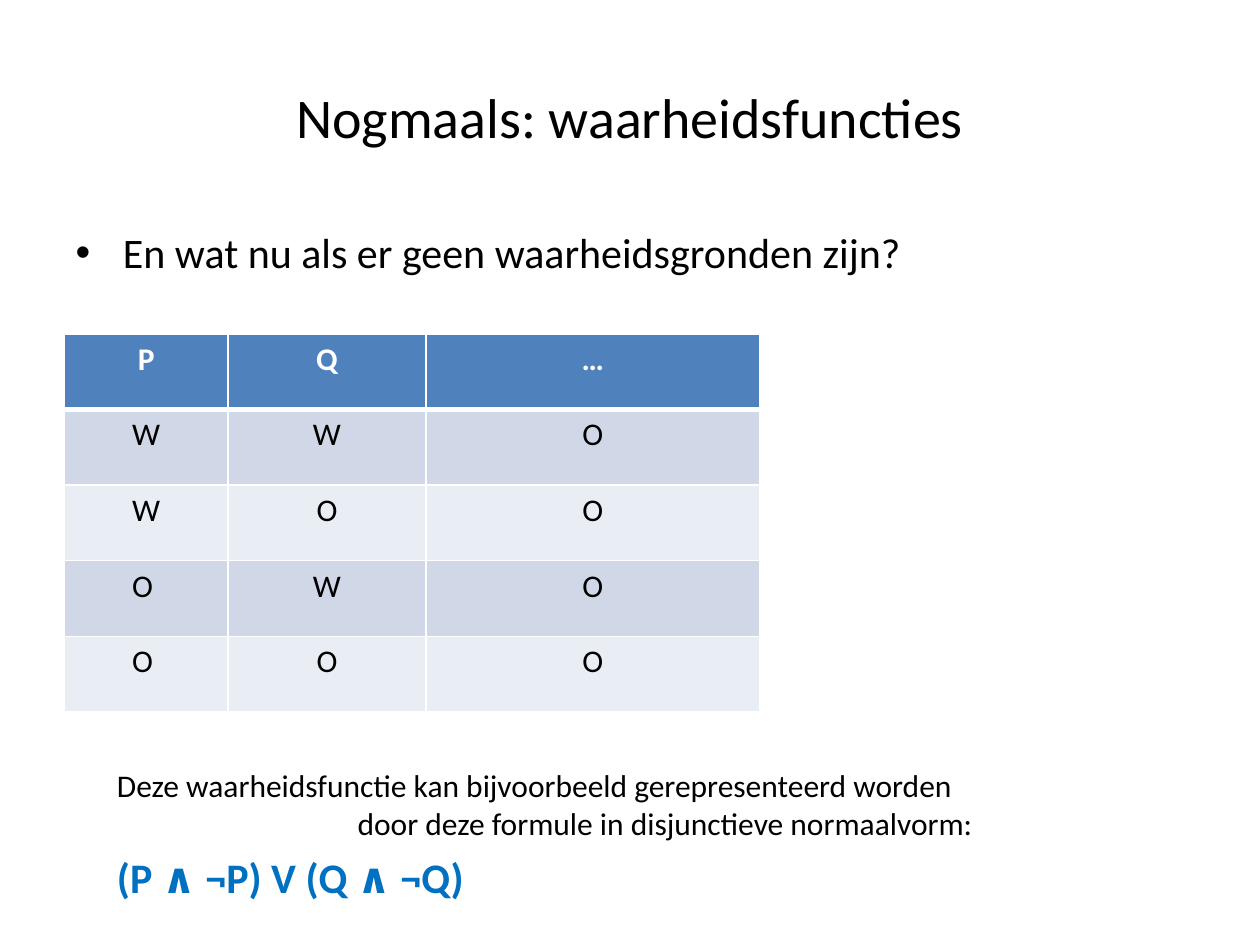
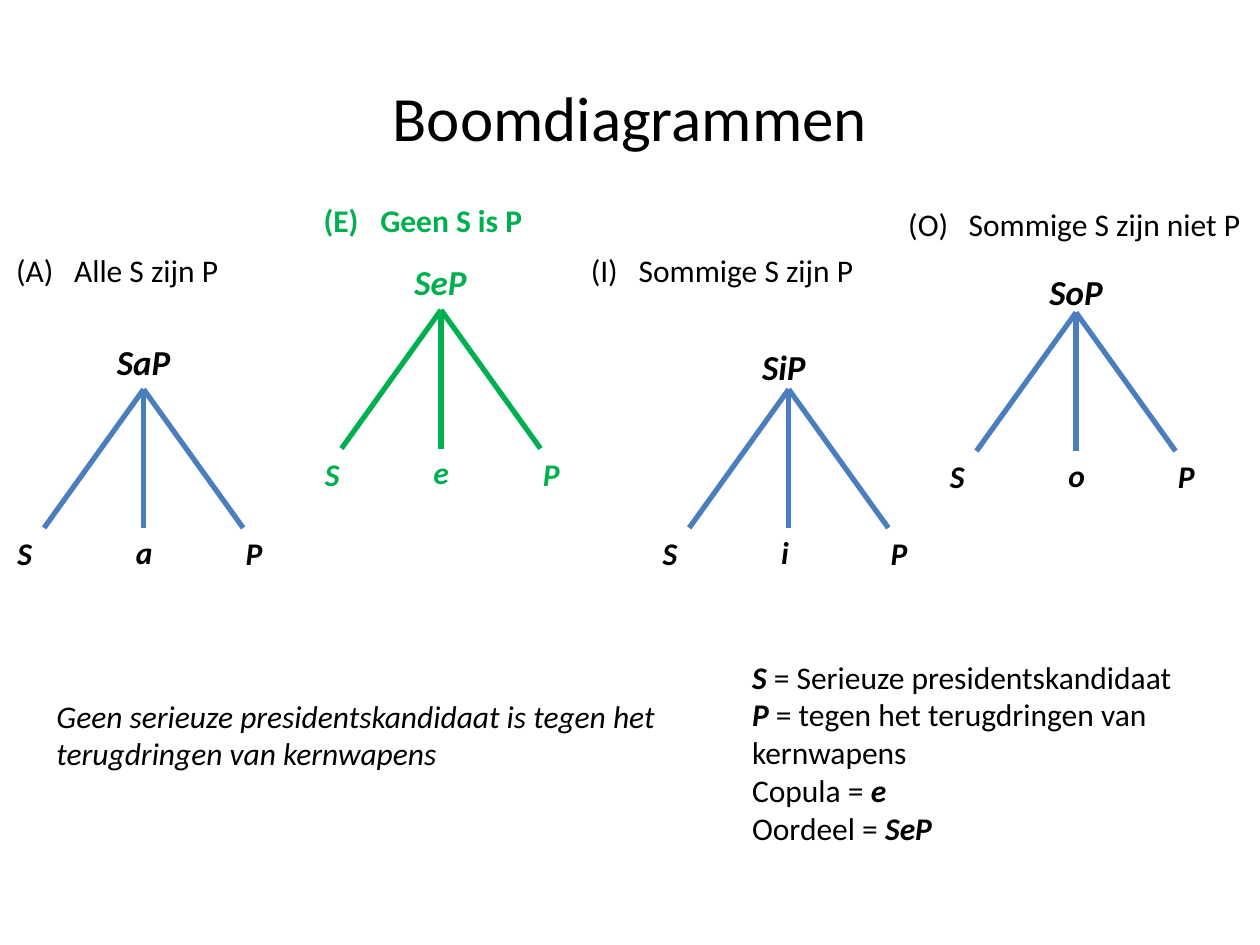
"""Build two logic slides: a truth table and four tree diagrams."""
import pptx
import pptx.dml.color
import pptx.enum.shapes
import pptx.enum.text
import pptx.oxml
import pptx.oxml.ns
import pptx.util

Inches = pptx.util.Inches
FONT = "Calibri"
COLORS = {
    "text": "000000",
    "white": "FFFFFF",
    "header": "4F81BD",
    "band_dark": "D0D8E8",
    "band_light": "E9EDF4",
    "formula": "0070C0",
    "branch": "4B7EBC",
    "accent": "00B050",
}
TRUTH_ROWS = [
    ["P", "Q", "…"],
    ["W", "W", "O"],
    ["W", "O", "O"],
    ["O ", "W", "O"],
    ["O ", "O", "O"],
]
TRUTH_COLUMNS = [1.3, 1.57, 2.65]
TRUTH_ROW_HEIGHT = 0.6
BRANCH_HEIGHT = 1.1
BRANCH_SPREAD = 0.79


def rgb(color):
    return pptx.dml.color.RGBColor.from_string(COLORS[color])


def format_runs(paragraph, size, color="text", bold=False, italic=False):
    for run in paragraph.runs:
        run.font.name = FONT
        run.font.size = pptx.util.Pt(size)
        run.font.bold = bold
        run.font.italic = italic
        run.font.color.rgb = rgb(color)


def add_slide(presentation, layout_index, title, title_size):
    slide = presentation.slides.add_slide(presentation.slide_layouts[layout_index])
    slide.shapes.title.text_frame.text = title
    format_runs(slide.shapes.title.text_frame.paragraphs[0], title_size)
    return slide


def add_text(slide, left, top, width, height, lines, size=18, **style):
    """Add a wrapping text box with one paragraph per line."""
    box = slide.shapes.add_textbox(Inches(left), Inches(top), Inches(width), Inches(height))
    box.text_frame.word_wrap = True
    box.text_frame.text = "\n".join(lines)
    for paragraph in box.text_frame.paragraphs:
        format_runs(paragraph, size, **style)
    return box


def add_definitions(slide, left, top, width, height, definitions):
    """Add lines made of (text, emphasised) parts."""
    box = add_text(slide, left, top, width, height, [""] * len(definitions))
    for paragraph, parts in zip(box.text_frame.paragraphs, definitions):
        for text, emphasised in parts:
            run = paragraph.add_run()
            run.text = text
        format_runs(paragraph, 18)
        for run, (text, emphasised) in zip(paragraph.runs, parts):
            run.font.bold = run.font.italic = emphasised


def set_cell_borders(cell, bottom_width):
    properties = cell._tc.get_or_add_tcPr()
    widths = {"lnL": 1, "lnR": 1, "lnT": 1, "lnB": bottom_width}
    for position, (tag, width) in enumerate(widths.items()):
        border = pptx.oxml.parse_xml(
            f'<a:{tag} {pptx.oxml.ns.nsdecls("a")} w="{pptx.util.Pt(width)}">'
            f'<a:solidFill><a:srgbClr val="{COLORS["white"]}"/></a:solidFill></a:{tag}>'
        )
        properties.insert(position, border)


def add_truth_table(slide, left, top):
    frame = slide.shapes.add_table(
        len(TRUTH_ROWS), len(TRUTH_COLUMNS), Inches(left), Inches(top),
        Inches(sum(TRUTH_COLUMNS)), Inches(TRUTH_ROW_HEIGHT * len(TRUTH_ROWS)),
    )
    table = frame.table
    for column, width in zip(table.columns, TRUTH_COLUMNS):
        column.width = Inches(width)
    for row_index, values in enumerate(TRUTH_ROWS):
        is_header = row_index == 0
        band = "band_dark" if row_index % 2 else "band_light"
        for column_index, value in enumerate(values):
            cell = table.cell(row_index, column_index)
            cell.fill.solid()
            cell.fill.fore_color.rgb = rgb("header" if is_header else band)
            set_cell_borders(cell, 3 if is_header else 1)
            cell.text_frame.text = value
            paragraph = cell.text_frame.paragraphs[0]
            paragraph.alignment = pptx.enum.text.PP_ALIGN.CENTER
            format_runs(paragraph, 18, "white" if is_header else "text", bold=is_header)


def add_heading(slide, left, top, letter, sentence, tab, **style):
    """Add a lettered sentence whose wording starts at a tab stop."""
    box = add_text(slide, left, top, 2.85, 0.5, [f"({letter})\t{sentence}"], **style)
    properties = box.text_frame.paragraphs[0]._p.get_or_add_pPr()
    properties.append(pptx.oxml.parse_xml(
        f'<a:tabLst {pptx.oxml.ns.nsdecls("a")}><a:tab pos="{Inches(tab)}" algn="l"/></a:tabLst>'
    ))


def add_branch(slide, start_x, start_y, end_x, color):
    line = slide.shapes.add_connector(
        pptx.enum.shapes.MSO_CONNECTOR.STRAIGHT, Inches(start_x), Inches(start_y),
        Inches(end_x), Inches(start_y + BRANCH_HEIGHT),
    )
    line.line.color.rgb = rgb(color)
    line.line.width = pptx.util.Pt(3)
    line._element.spPr.append(pptx.oxml.parse_xml(f'<a:effectLst {pptx.oxml.ns.nsdecls("a")}/>'))


def add_tree(slide, x, y, copula, root_rise=0.44, subject_shift=-1.1,
             text_color="text", line_color="branch"):
    """Add a judgement with branches to its subject, copula and predicate."""
    style = {"color": text_color, "bold": True, "italic": True}
    add_text(slide, x - 0.31, y - root_rise, 1, 0.44, [f"S{copula}P"], 20, **style)
    for direction in (0, -1, 1):
        add_branch(slide, x, y, x + direction * BRANCH_SPREAD, line_color)
    leaves = [("S", subject_shift, 0), (copula, -0.16, -0.01), ("P", 0.71, 0)]
    for label, shift, rise in leaves:
        add_text(slide, x + shift, y + BRANCH_HEIGHT + rise, 0.71, 0.4, [label], **style)


def build_truth_slide(presentation):
    slide = add_slide(presentation, 1, "Nogmaals: waarheidsfuncties", 32)
    body = slide.placeholders[1]
    body.left, body.top, body.width, body.height = map(Inches, (0.5, 1.75, 9, 4.95))
    body.text_frame.text = "En wat nu als er geen waarheidsgronden zijn?"
    question = body.text_frame.paragraphs[0]
    question.space_before = pptx.util.Pt(0)
    format_runs(question, 24)
    add_truth_table(slide, 0.51, 2.65)
    explanation = add_text(slide, 0.83, 6.03, 7.32, 0.71, [
        "Deze waarheidsfunctie kan bijvoorbeeld gerepresenteerd worden",
        "door deze formule in disjunctieve normaalvorm:",
    ])
    explanation.text_frame.paragraphs[1]._p.get_or_add_pPr().set("marL", str(Inches(1.91)))
    add_text(slide, 0.83, 6.71, 5.28, 0.5, ["(P ∧ ¬P) V (Q ∧ ¬Q)"], 24,
             color="formula", bold=True)


def build_tree_slide(presentation):
    slide = add_slide(presentation, 5, "Boomdiagrammen", 36)
    add_heading(slide, 0.03, 1.94, "A", "Alle S zijn P", 0.46)
    add_heading(slide, 4.59, 1.94, "I", "Sommige S zijn P", 0.38)
    add_heading(slide, 2.47, 1.55, "E", "Geen S is P", 0.45, color="accent", bold=True)
    add_heading(slide, 7.11, 1.58, "O", "Sommige S zijn niet P", 0.48)
    add_tree(slide, 1.14, 3.09, "a")
    add_tree(slide, 3.5, 2.46, "e", subject_shift=-1.02,
             text_color="accent", line_color="accent")
    add_tree(slide, 6.26, 3.09, "i", root_rise=0.4)
    add_tree(slide, 8.54, 2.48, "o", root_rise=0.38)
    add_text(slide, 0.35, 5.48, 5.2, 0.71,
             ["Geen serieuze presidentskandidaat is tegen het terugdringen van kernwapens"],
             italic=True)
    add_definitions(slide, 5.87, 5.17, 3.62, 1.62, [
        [("S", True), (" = Serieuze presidentskandidaat", False)],
        [("P", True), (" = tegen het terugdringen van kernwapens", False)],
        [("Copula = ", False), ("e", True)],
        [("Oordeel = ", False), ("SeP", True)],
    ])


def main():
    presentation = pptx.Presentation()
    presentation.slide_width = Inches(10)
    presentation.slide_height = Inches(7.5)
    build_truth_slide(presentation)
    build_tree_slide(presentation)
    presentation.save("out.pptx")


if __name__ == "__main__":
    main()
